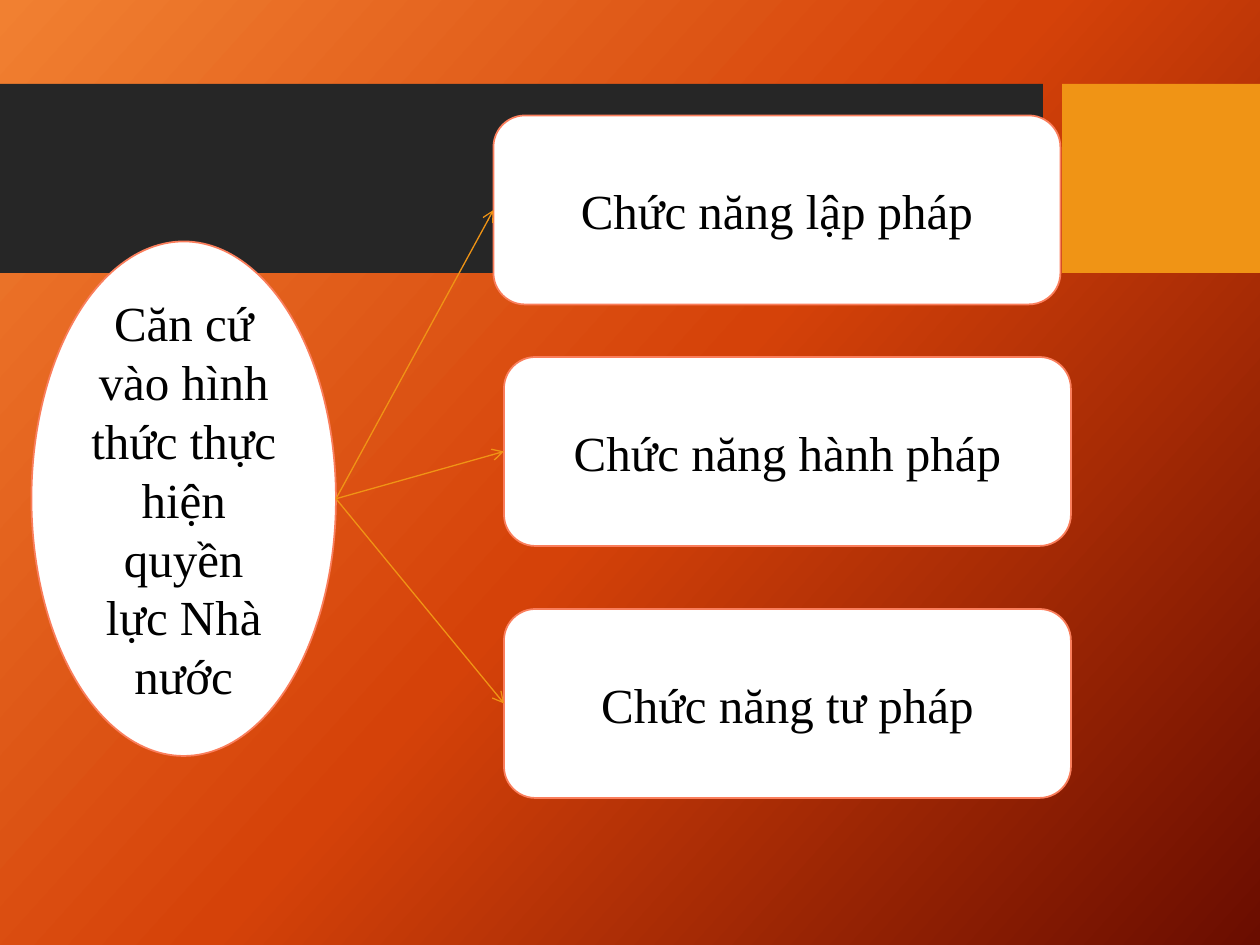
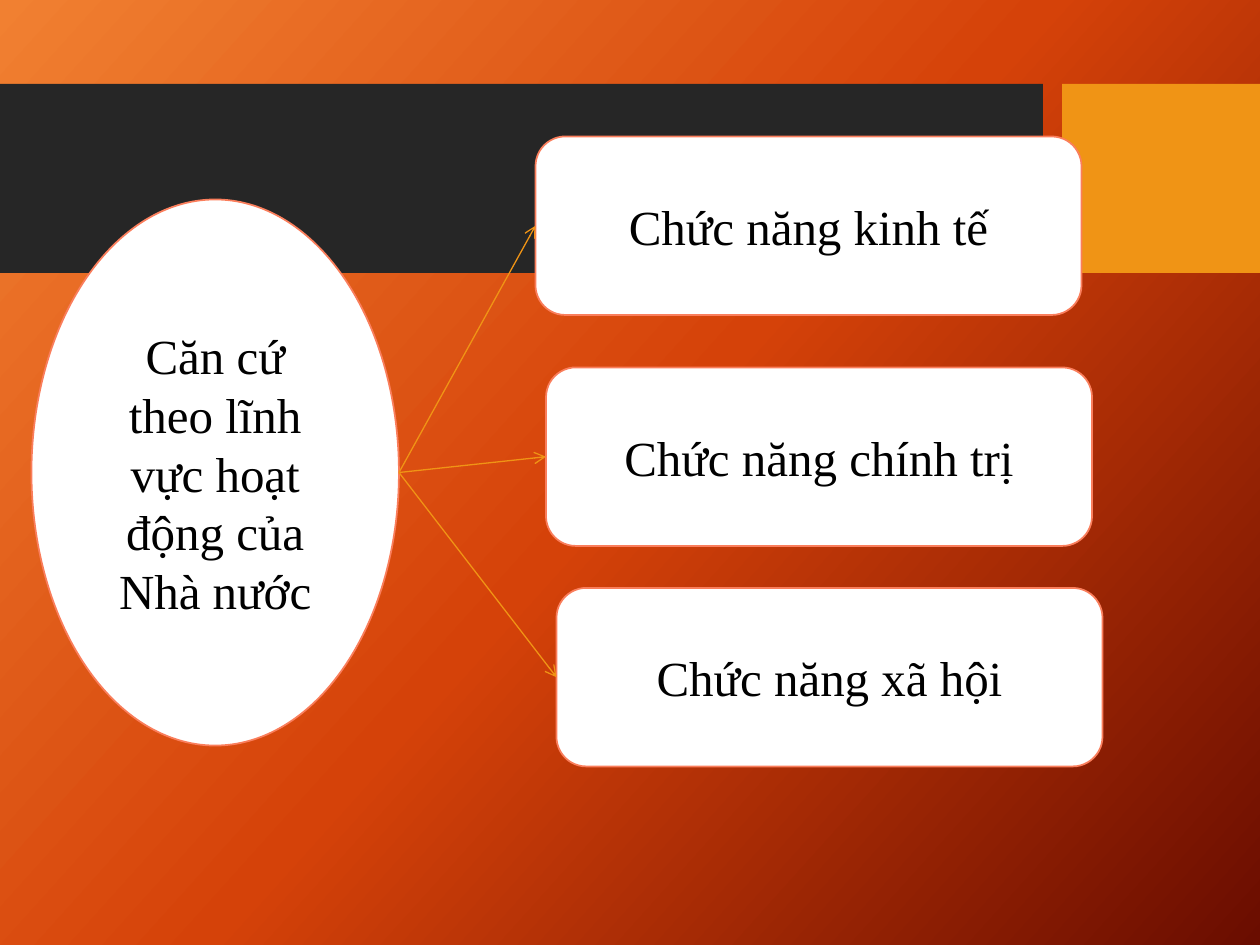
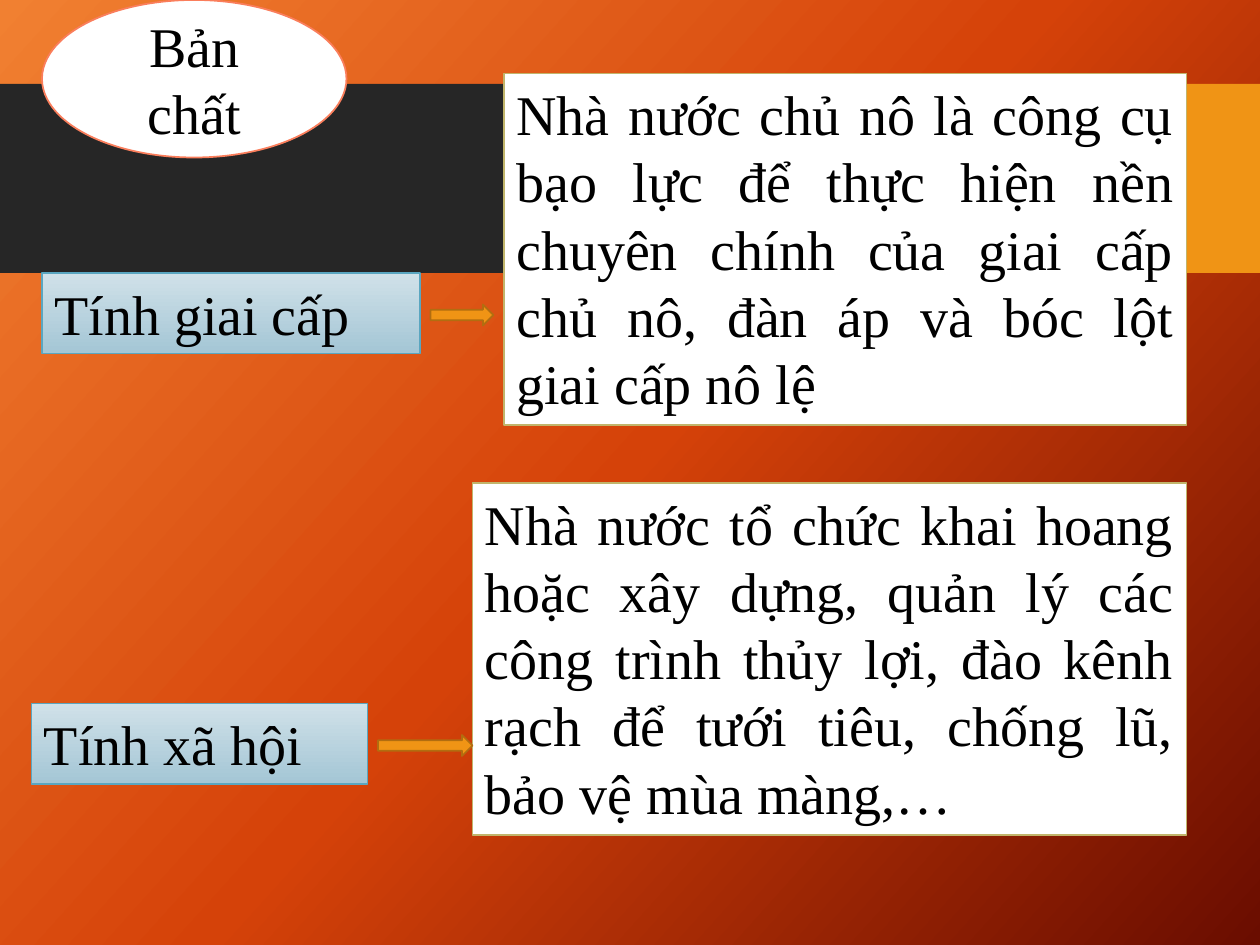
from copy import deepcopy

from pptx import Presentation
from pptx.dml.color import RGBColor
from pptx.enum.shapes import MSO_CONNECTOR, MSO_SHAPE as Shape
from pptx.enum.text import MSO_ANCHOR as Anchor, MSO_AUTO_SIZE as AutoSize, PP_ALIGN as Align
from pptx.oxml.ns import qn
from pptx.oxml.xmlchemy import OxmlElement
from pptx.util import Pt

COLOURS = {
    "glow": "F18031", "flame": "D54209", "ember": "6A0D00",
    "charcoal": "262626", "amber": "F09415", "bronze": "B26D10",
    "white": "FFFFFF", "black": "000000", "coral": "FA7E5C",
    "ice": "D0E1E9", "mist": "A4C6D5", "teal": "5AA6C0", "sand": "C1B56B",
}
RGB = {name: RGBColor.from_string(value) for name, value in COLOURS.items()}


def set_gradient(fill, colours, angle):
    fill.gradient_angle = angle
    for index, (stop, colour) in enumerate(zip(fill.gradient_stops, colours)):
        stop.position = index / (len(colours) - 1)
        stop.color.rgb = RGB[colour]


def add_box(page, kind, place, fill, line=None, width=1, text="", size=28,
            align=Align.CENTER, **frame_format):
    box = page.shapes.add_shape(kind, *map(Pt, place))
    box.shadow.inherit = False
    if isinstance(fill, tuple):
        box.fill.gradient()
        set_gradient(box.fill, fill, 270)
    else:
        box.fill.solid()
        box.fill.fore_color.rgb = RGB[fill]
    if line:
        box.line.color.rgb = RGB[line]
        box.line.width = Pt(width)
    else:
        box.line.fill.background()
    if text:
        frame = box.text_frame
        values = {"word_wrap": True, "vertical_anchor": Anchor.MIDDLE} | frame_format
        for name, value in values.items():
            setattr(frame, name, value)
        para = frame.paragraphs[0]
        para.alignment = align
        span = para.add_run()
        span.text = text
        for name, value in {"name": "Times New Roman", "size": Pt(size)}.items():
            setattr(span.font, name, value)
        span.font.color.rgb = RGB["black"]
    return box


deck = Presentation()
deck.slide_width, deck.slide_height = Pt(720), Pt(540)

master = deck.slide_master
backdrop = master.background.fill
backdrop.gradient()
stop_list = master.element.find(".//" + qn("a:gsLst"))
stop_list.insert(1, deepcopy(stop_list[0]))
set_gradient(backdrop, ("glow", "flame", "ember"), 318)

pages = []
for number in range(3):
    page = deck.slides.add_slide(deck.slide_layouts[6])
    add_box(page, Shape.RECTANGLE, (0, 48, 596, 108), "charcoal")
    add_box(page, Shape.RECTANGLE, (607, 48, 113, 108), "amber")
    pages.append(page)

function_maps = [
    ("Căn cứ vào hình thức thực hiện quyền lực Nhà nước", (18, 138, 174, 294), (324, 108), [
        ("Chức năng lập pháp", 282, 66),
        ("Chức năng hành pháp", 288, 204),
        ("Chức năng tư pháp", 288, 348),
    ]),
    ("Căn cứ theo lĩnh vực hoạt động của Nhà nước", (18, 114, 210, 312), (312, 102), [
        ("Chức năng kinh tế", 306, 78),
        ("Chức năng chính trị", 312, 210),
        ("Chức năng xã hội", 318, 336),
    ]),
]
for page, (basis, basis_place, (width, height), functions) in zip(pages, function_maps):
    add_box(page, Shape.OVAL, basis_place, "white", "coral", text=basis)
    left, top, basis_width, basis_height = basis_place
    start = left + basis_width, top + basis_height / 2
    for name, left, top in functions:
        add_box(page, Shape.ROUNDED_RECTANGLE, (left, top, width, height),
                "white", "coral", text=name)
        end = left, top + height / 2
        arrow = page.shapes.add_connector(MSO_CONNECTOR.STRAIGHT, *map(Pt, start + end))
        arrow.line.color.rgb = RGB["amber"]
        arrow.line.width = Pt(0.75)
        tail = OxmlElement("a:tailEnd")
        tail.set("type", "arrow")
        arrow.line._get_or_add_ln().append(tail)
        arrow._element.spPr.append(OxmlElement("a:effectLst"))

page = pages[2]
add_box(page, Shape.OVAL, (24, 0, 174, 90), "white", "coral", text="Bản chất", size=32)
natures = [
    ("Tính giai cấp", (24, 156, 216, 46), (246, 174, 36, 12), (288, 42, 390, 201),
     "Nhà nước chủ nô là công cụ bạo lực để thực hiện nền chuyên chính của giai cấp "
     "chủ nô, đàn áp và bóc lột giai cấp nô lệ"),
    ("Tính xã hội", (18, 402, 192, 46), (216, 420, 54, 12), (270, 276, 408, 201),
     "Nhà nước tổ chức khai hoang hoặc xây dựng, quản lý các công trình thủy lợi, "
     "đào kênh rạch để tưới tiêu, chống lũ, bảo vệ mùa màng,…"),
]
growing = {"size": 32, "vertical_anchor": Anchor.TOP, "auto_size": AutoSize.SHAPE_TO_FIT_TEXT}
for name, name_place, arrow_place, detail_place, detail in natures:
    add_box(page, Shape.RECTANGLE, name_place, ("ice", "mist"), "teal", 0.75,
            name, align=Align.LEFT, **growing)
    add_box(page, Shape.RECTANGLE, detail_place, "white", "sand",
            text=detail, align=Align.JUSTIFY, **growing)
    add_box(page, Shape.RIGHT_ARROW, arrow_place, "amber", "bronze")

deck.save("out.pptx")
